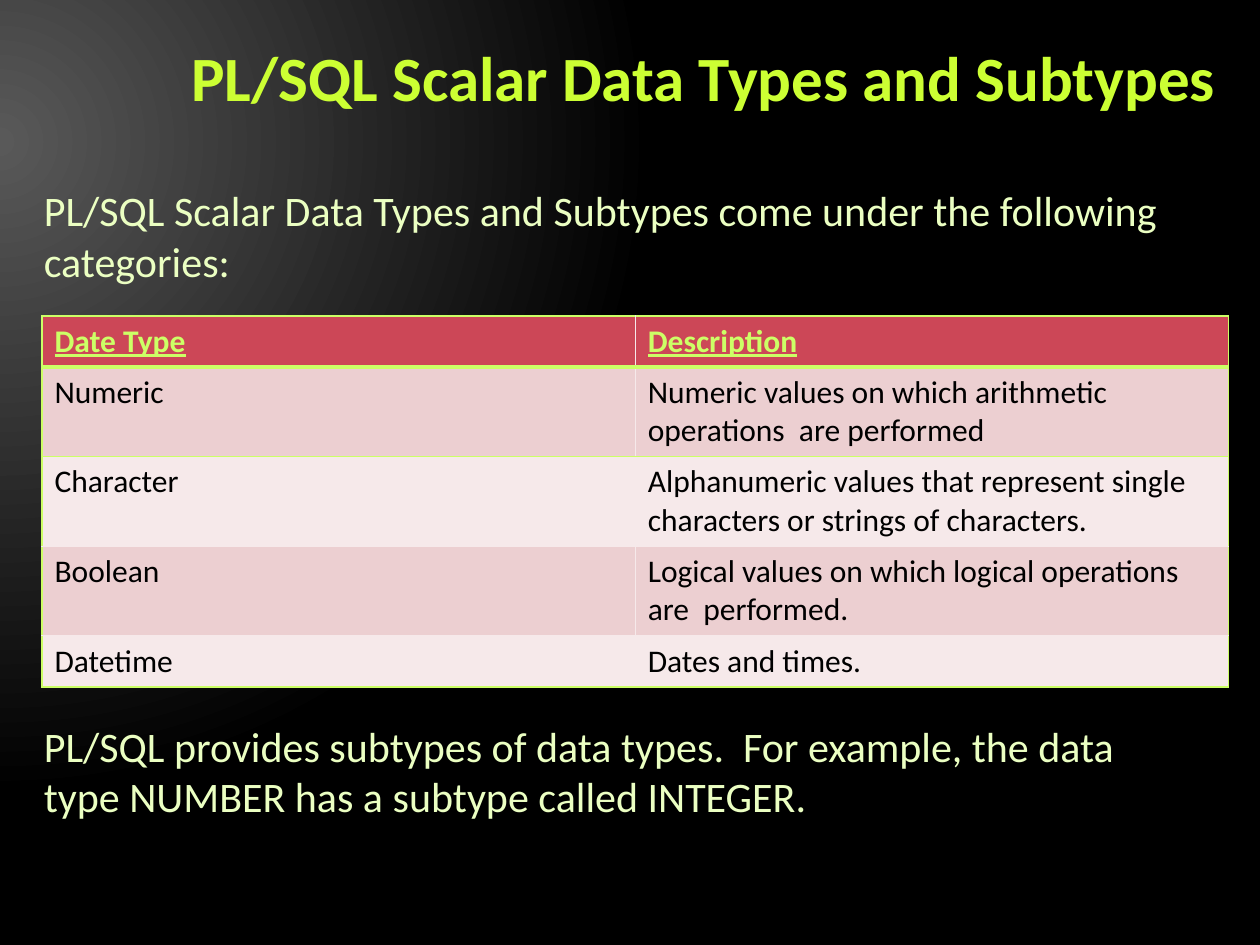
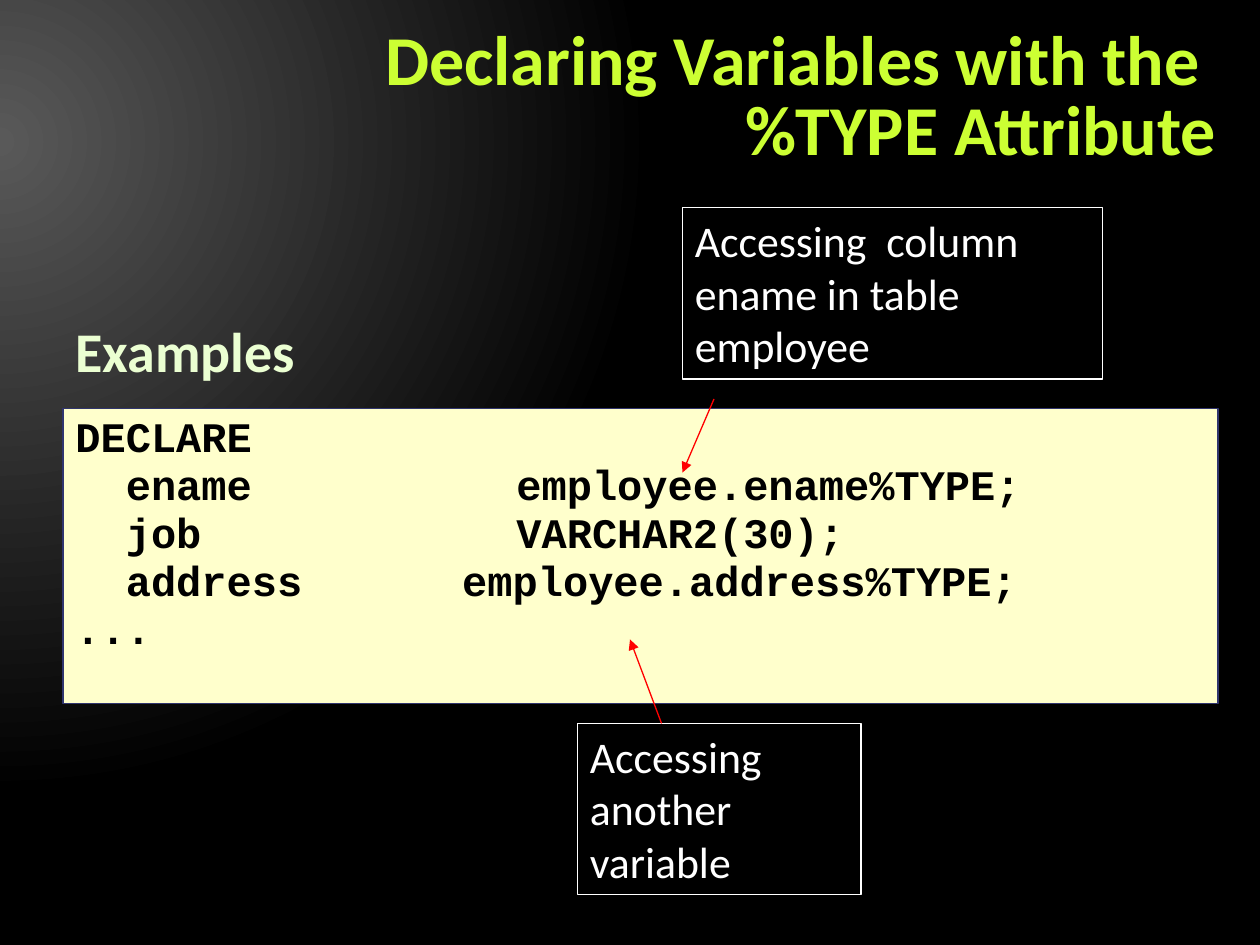
from lxml import etree
from pptx import Presentation
from pptx.dml.color import RGBColor
from pptx.enum.shapes import MSO_CONNECTOR, MSO_SHAPE
from pptx.enum.text import MSO_ANCHOR, MSO_AUTO_SIZE, PP_ALIGN
from pptx.oxml import parse_xml
from pptx.oxml.ns import qn
from pptx.util import Inches, Pt

LEFT, RIGHT = PP_ALIGN.LEFT, PP_ALIGN.RIGHT
TOP, MIDDLE, BOTTOM = MSO_ANCHOR.TOP, MSO_ANCHOR.MIDDLE, MSO_ANCHOR.BOTTOM
FIXED = MSO_AUTO_SIZE.NONE
RECT, LINE = MSO_SHAPE.RECTANGLE, MSO_CONNECTOR.STRAIGHT

# Shared look
SANS, MONO = "Calibri", "Courier New"
TITLE, LIME, PALE, HEAD = "CCFF33", "CCFF66", "EBFFC2", "EBFFD2"
ROSE, BANDS = "CC4757", ("ECCFD1", "F6E9EA")
BLACK, WHITE, RED, CREAM, NAVY = "000000", "FFFFFF", "FF0000", "FFFFCC", "30356E"
NS = 'xmlns:a="http://schemas.openxmlformats.org/drawingml/2006/main"'

# The slide is a grid of 120 columns by 90 rows
prs = Presentation()
prs.slide_width, prs.slide_height = Inches(10), Inches(7.5)
COL, ROW = prs.slide_width / 120, prs.slide_height / 90


def grid(*box):
    return [round(n * (ROW if i % 2 else COL)) for i, n in enumerate(box)]


def color(code):
    return RGBColor.from_string(code)


def write(par, text, size, code, bold=False, face=SANS, under=False):
    run = par.add_run()
    run.text = text
    font = run.font
    font.name, font.size, font.bold = face, Pt(size), bold
    font.underline = under
    font.color.rgb = color(code)


def frame(shape, anchor=TOP):
    body = shape.text_frame
    body.word_wrap, body.auto_size = True, FIXED
    body.vertical_anchor = anchor
    return body


def fill_in(body, lines, size, code, **look):
    """Write one paragraph per line and return them all."""
    for i, text in enumerate(lines):
        par = body.add_paragraph() if i else body.paragraphs[0]
        par.alignment = LEFT
        write(par, text, size, code, **look)
    return body.paragraphs


def backdrop(master):
    master.background.fill.solid()
    holder = master.element.find(".//" + qn("p:bgPr"))
    holder.replace(holder[0], parse_xml(
        f'<a:gradFill {NS} rotWithShape="1"><a:gsLst>'
        '<a:gs pos="0"><a:srgbClr val="595959"/></a:gs>'
        '<a:gs pos="83000"><a:srgbClr val="000000"/></a:gs></a:gsLst>'
        '<a:path path="circle"><a:fillToRect l="20000" t="30000" '
        'r="135000" b="100000"/></a:path></a:gradFill>'))


def start(box, lines, size):
    """Add a slide with its right-aligned title."""
    slide = prs.slides.add_slide(prs.slide_layouts[5])
    title = slide.shapes.title
    title.left, title.top, title.width, title.height = grid(*box)
    par = frame(title, MIDDLE).paragraphs[0]
    par.alignment, par.line_spacing = RIGHT, Pt(40)
    for i, text in enumerate(lines):
        if i:
            par.add_line_break()
        write(par, text, size, TITLE, bold=True)
    return slide


def note(slide, box, lines):
    body = frame(slide.shapes.add_textbox(*grid(*box)))
    fill_in(body, lines, 24, PALE)


def label(slide, box, text):
    body = frame(slide.shapes.add_textbox(*grid(*box)), BOTTOM)
    body.margin_bottom = 0
    par, = fill_in(body, [text], 32, HEAD, bold=True)
    par.line_spacing = Pt(38)


def panel(slide, box, line, width, fill=None):
    shape = slide.shapes.add_shape(RECT, *grid(*box))
    shape.shadow.inherit = False
    if fill:
        shape.fill.solid()
        shape.fill.fore_color.rgb = color(fill)
    else:
        shape.fill.background()
    shape.line.color.rgb, shape.line.width = color(line), Pt(width)
    return frame(shape)


def callout(slide, box, text):
    fill_in(panel(slide, box, WHITE, 0.75), [text], 25, WHITE)


def code_box(slide, box, rows):
    """Each row is its text and the tab stop, in inches, of its second part."""
    body = panel(slide, box, NAVY, 1, CREAM)
    pars = fill_in(body, [text for text, _ in rows], 24, BLACK, bold=True, face=MONO)
    for par, (_, stop) in zip(pars, rows):
        par.line_spacing = 0.95
        if stop:
            tabs = etree.SubElement(par._p.get_or_add_pPr(), qn("a:tabLst"))
            etree.SubElement(tabs, qn("a:tab"), pos=str(Inches(stop)), algn="l")


def arrow(slide, *ends):
    link = slide.shapes.add_connector(LINE, *grid(*ends))
    link.line.color.rgb, link.line.width = color(RED), Pt(0.75)
    etree.SubElement(link.line._get_or_add_ln(), qn("a:tailEnd"), type="triangle")
    etree.SubElement(link._element.spPr, qn("a:effectLst"))


def border(cell, sides):
    """Place the cell's edges ahead of its fill."""
    props = cell._tc.get_or_add_tcPr()
    for i, (side, (code, width)) in enumerate(sides.items()):
        props.insert(i, parse_xml(
            f'<a:ln{side} {NS} w="{Pt(width)}"><a:solidFill>'
            f'<a:srgbClr val="{code}"/></a:solidFill></a:ln{side}>'))


def type_table(slide, box, rows, shares):
    left, top, width, height = grid(*box)
    count = len(rows[0])
    table = slide.shapes.add_table(len(rows), count, left, top, width, height).table
    for col in table.columns:
        col.width = width // count
    for row, share in zip(table.rows, shares):
        row.height = round(height * share / sum(shares))
    edge, soft = (LIME, 1), (BANDS[1], 0.5)
    # Horizontal rules, from the top edge to the bottom edge
    rules = [edge, (LIME, 3), edge] + [soft] * (len(rows) - 3) + [edge]
    for r, row in enumerate(rows):
        for c, text in enumerate(row):
            cell = table.cell(r, c)
            cell.fill.solid()
            cell.fill.fore_color.rgb = color(BANDS[(r - 1) % 2] if r else ROSE)
            border(cell, {"L": soft if c else edge,
                          "R": edge if c == count - 1 else soft,
                          "T": rules[r], "B": rules[r + 1]})
            fill_in(cell.text_frame, text.split("\n"), 18, BLACK if r else LIME,
                    bold=not r, under=not r)


backdrop(prs.slide_master)

# Slide 1: scalar types
types = start((9, 3, 108, 9), ["PL/SQL Scalar Data Types and Subtypes"], 36)
note(types, (3, 68, 111, 11), [
    "PL/SQL provides subtypes of data types.  For example, the data type "
    "NUMBER has a subtype called INTEGER."])
type_table(types, (4, 30.1, 113, 34.9), [
    ("Date Type", "Description"),
    ("Numeric", "Numeric values on which arithmetic operations  are performed"),
    ("Character", "Alphanumeric values that represent single \n"
                  "characters or strings of characters."),
    ("Boolean", "Logical values on which logical operations are  performed."),
    ("Datetime", "Dates and times."),
], (4, 7, 7, 7, 4))
note(types, (3, 17, 113, 11), [
    "PL/SQL Scalar Data Types and Subtypes come under the following ", "categories:"])

# Slide 2: the %TYPE attribute
attr = start((3, 2, 114, 15), ["Declaring Variables with the ", "%TYPE Attribute"], 40)
label(attr, (6, 21, 108, 15.5), "Examples")
code_box(attr, (6, 38.9, 110, 28.1), [
    ("DECLARE", 0),
    ("  ename\temployee.ename%TYPE;", 3.5),
    ("  job\tVARCHAR2(30);", 3.5),
    ("  address\temployee.address%TYPE;", 3.07),
    ("...", 0),
])
callout(attr, (65, 19.8, 40, 16.3), "Accessing  column ename in table employee")
arrow(attr, 68, 38, 65, 45)
callout(attr, (55, 68.9, 27, 16.3), "Accessing another variable")
arrow(attr, 63, 68.9, 60, 60.9)

prs.save("out.pptx")
